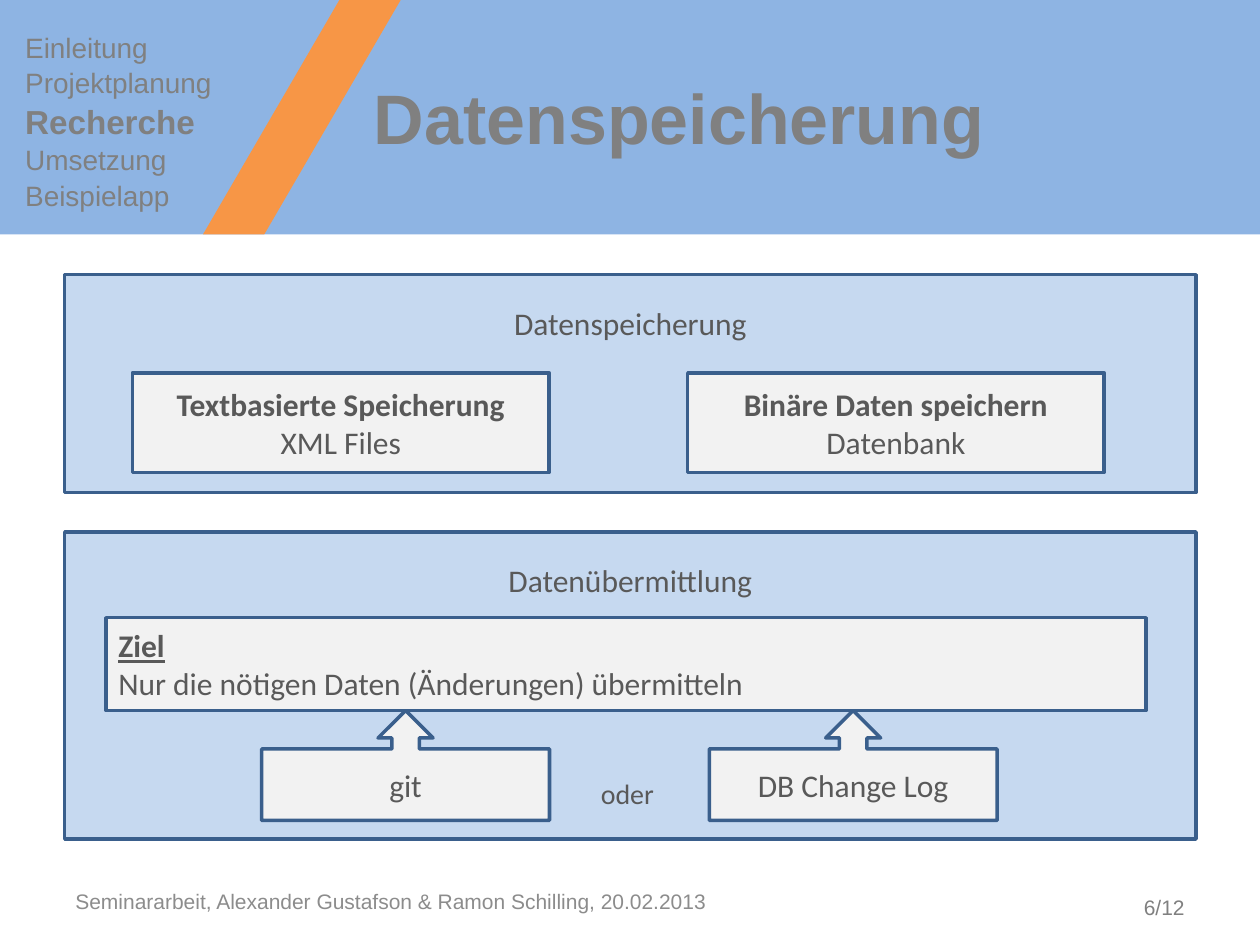
from lxml.etree import SubElement
from pptx import Presentation
from pptx.dml.color import RGBColor
from pptx.enum.shapes import MSO_SHAPE as Shape
from pptx.enum.text import MSO_ANCHOR as Anchor, MSO_AUTO_SIZE as AutoSize, PP_ALIGN as Align
from pptx.oxml.ns import qn
from pptx.util import Pt

BLUE = RGBColor(0x8E, 0xB4, 0xE3)
ORANGE = RGBColor(0xF7, 0x96, 0x46)
OUTLINE = RGBColor(0x3A, 0x5F, 0x8C)
LIGHT = RGBColor(0xF2, 0xF2, 0xF2)
DARK_TEXT = RGBColor(0x59, 0x59, 0x59)
GREY = RGBColor(0x80, 0x80, 0x80)
FOOTER_GREY = RGBColor(0x8C, 0x8C, 0x8C)


def add_block(kind, left, top, width, height, fill, outlined=True):
    """Add a flat filled shape, with or without the dark blue outline."""
    shape = slide.shapes.add_shape(kind, Pt(left), Pt(top), Pt(width), Pt(height))
    shape.shadow.inherit = False
    shape.fill.solid()
    shape.fill.fore_color.rgb = fill
    if outlined:
        shape.line.color.rgb = OUTLINE
        shape.line.width = Pt(2)
    else:
        shape.line.fill.background()
    return shape


def write_lines(shape, lines, font_name, color, align, anchor=Anchor.MIDDLE):
    """Write (text, size, bold) lines, one paragraph each."""
    frame = shape.text_frame
    frame.word_wrap = True
    frame.vertical_anchor = anchor
    for index, (text, size, bold) in enumerate(lines):
        paragraph = frame.add_paragraph() if index else frame.paragraphs[0]
        paragraph.alignment = align
        run = paragraph.add_run()
        run.text = text
        run.font.name = font_name
        run.font.size = Pt(size)
        run.font.bold = bold
        run.font.color.rgb = color
    return frame


presentation = Presentation()
presentation.slide_width = Pt(720)
presentation.slide_height = Pt(540)
slide = presentation.slides.add_slide(presentation.slide_layouts[5])

# Header band, title and chapter list
add_block(Shape.RECTANGLE, 0, 0, 720, 134, BLUE, outlined=False)
stripe = add_block(Shape.PARALLELOGRAM, 116, 0, 113, 134, ORANGE, outlined=False)
stripe.adjustments[0] = 0.69

title = slide.shapes.title
title.left, title.top, title.width, title.height = Pt(206.5), Pt(21.5), Pt(408), Pt(90)
frame = write_lines(title, [("Datenspeicherung", 40, True)], "Arial", GREY, Align.LEFT)
frame.auto_size = AutoSize.NONE
title.element.getparent().append(title.element)  # in front of the band

chapters = ["Einleitung", "Projektplanung", "Recherche", "Umsetzung", "Beispielapp"]
current = "Recherche"
chapter_list = slide.shapes.add_textbox(Pt(14.4), Pt(17.5), Pt(156), Pt(108))
frame = write_lines(
    chapter_list,
    [(name, 19 if name == current else 16, name == current) for name in chapters],
    "Arial", GREY, Align.LEFT, Anchor.TOP)
frame.margin_left = frame.margin_top = frame.margin_right = frame.margin_bottom = 0
for paragraph in frame.paragraphs:
    paragraph.space_after = Pt(1)

# Two half-transparent panels
for heading, top, height in [("Datenspeicherung", 157, 124.5), ("Datenübermittlung", 304, 175.5)]:
    panel = add_block(Shape.RECTANGLE, 37, top, 646.5, height, BLUE)
    color = panel.fill._xPr.find(qn("a:solidFill"))[0]
    SubElement(color, qn("a:alpha"), val="50000")
    frame = write_lines(panel, [(heading, 18, False)], "Calibri", DARK_TEXT, Align.CENTER, Anchor.TOP)
    frame.margin_top = Pt(16.5)

# Storage options
for left, heading, detail in [
    (75.8, "Textbasierte Speicherung", "XML Files"),
    (393, "Binäre Daten speichern", "Datenbank"),
]:
    box = add_block(Shape.RECTANGLE, left, 213, 238, 57, LIGHT)
    write_lines(box, [(heading, 18, True), (detail, 18, False)], "Calibri", DARK_TEXT, Align.CENTER)

# Goal and the two ways to reach it
goal = add_block(Shape.RECTANGLE, 60.5, 353, 594.5, 53, LIGHT)
frame = write_lines(
    goal, [("Ziel", 18, True), ("Nur die nötigen Daten (Änderungen) übermitteln", 18, False)],
    "Calibri", DARK_TEXT, Align.LEFT)
frame.paragraphs[0].runs[0].font.underline = True

for left, name in [(149.5, "git"), (405.3, "DB Change Log")]:
    callout = add_block(Shape.UP_ARROW_CALLOUT, left, 406, 164.5, 62.8, LIGHT)
    write_lines(callout, [(name, 18, False)], "Calibri", DARK_TEXT, Align.CENTER)

either = slide.shapes.add_textbox(Pt(336.3), Pt(440), Pt(46.5), Pt(26.6))
frame = write_lines(either, [("oder", 16, False)], "Calibri", DARK_TEXT, Align.LEFT, Anchor.TOP)
frame.word_wrap = False

# Footer
footer = slide.shapes.add_textbox(Pt(36), Pt(500.5), Pt(460), Pt(29))
write_lines(
    footer, [("Seminararbeit, Alexander Gustafson & Ramon Schilling, 20.02.2013", 12, False)],
    "Arial", FOOTER_GREY, Align.LEFT)
page_number = slide.shapes.add_textbox(Pt(610.5), Pt(507.5), Pt(73.5), Pt(21.6))
write_lines(page_number, [("6/12", 12, False)], "Arial", GREY, Align.RIGHT, Anchor.TOP)

presentation.save("out.pptx")
